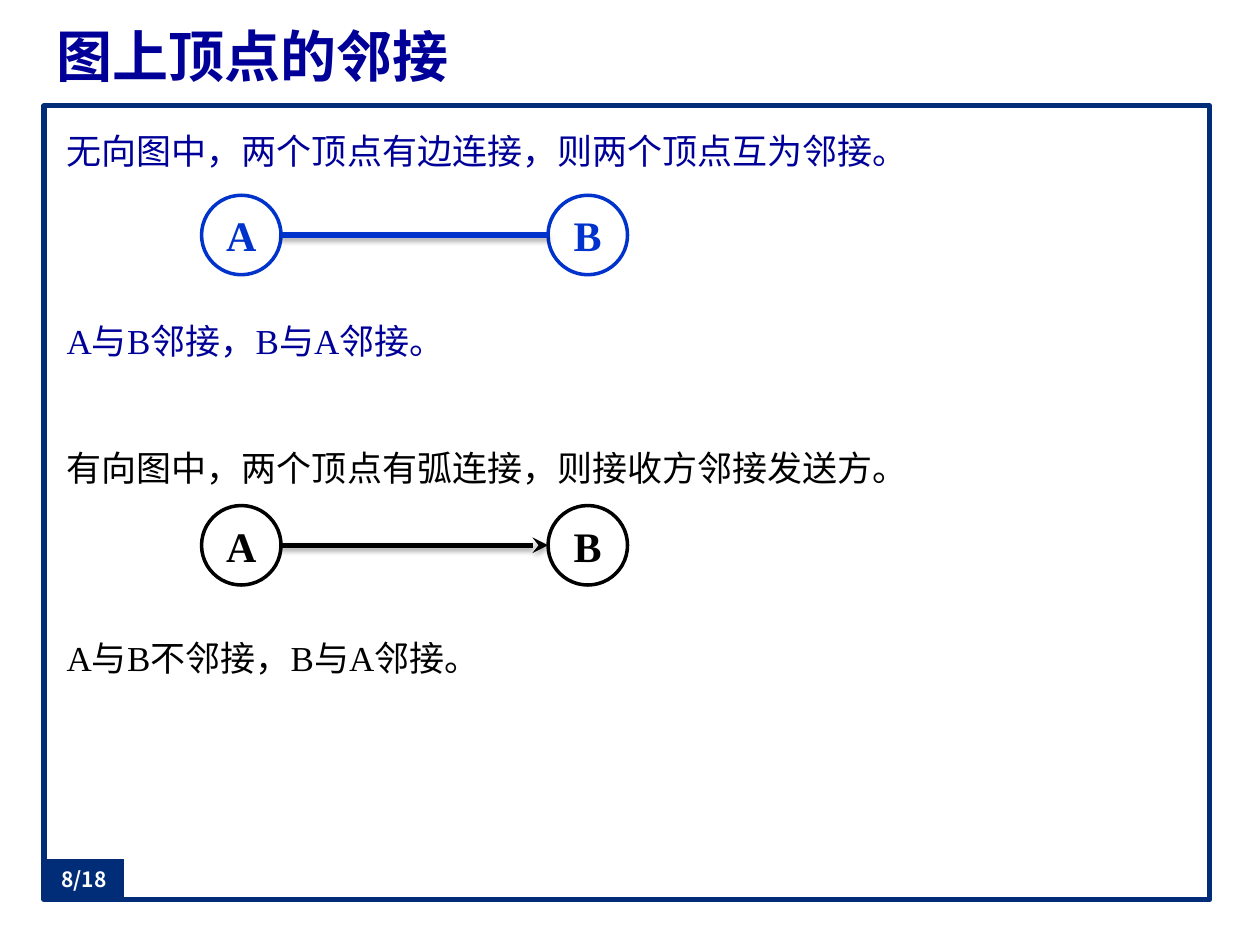
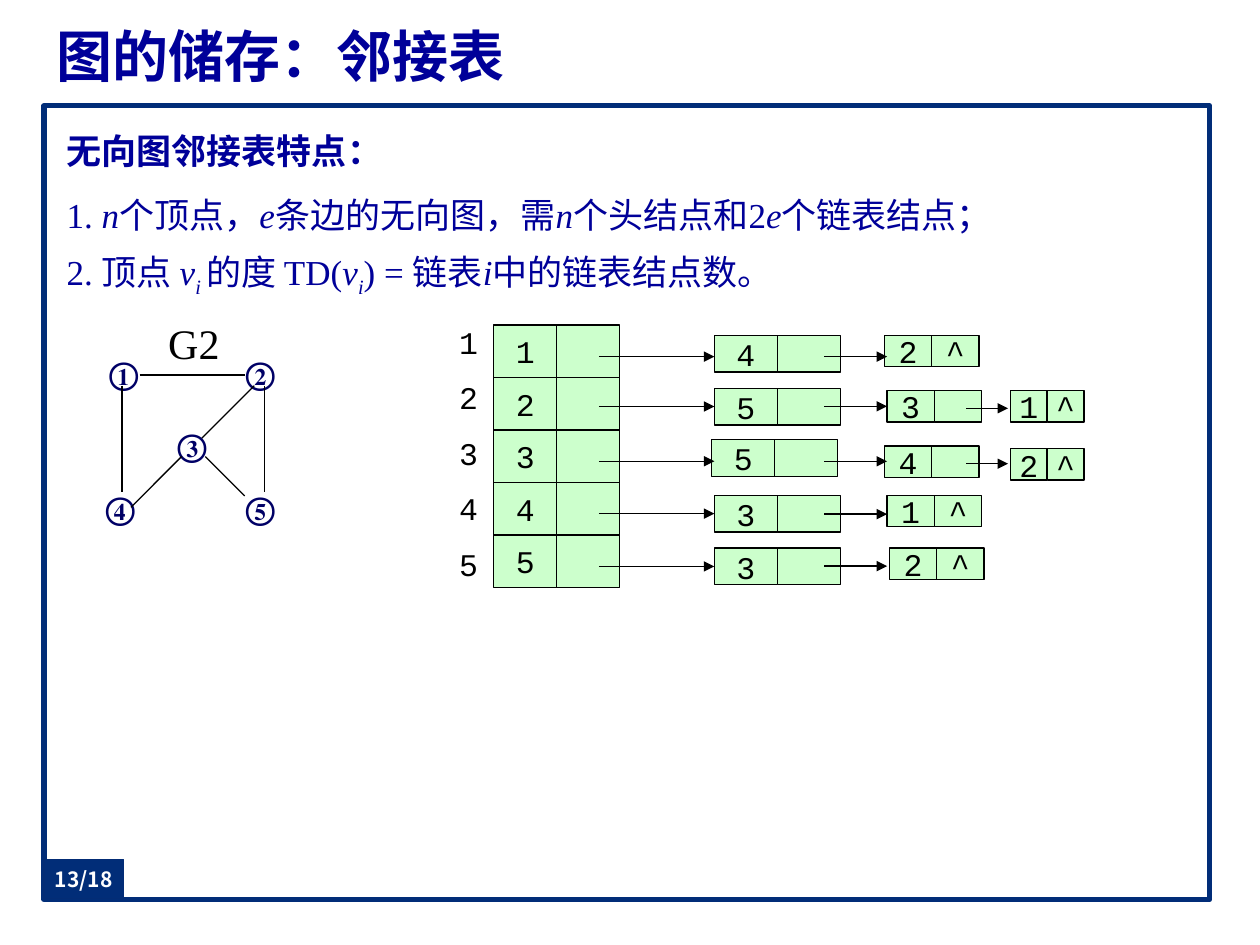
import pptx
import pptx.dml.color
import pptx.enum.shapes
import pptx.enum.text
import pptx.oxml.ns
import pptx.util
from lxml import etree

Pt = pptx.util.Pt
RGB = pptx.dml.color.RGBColor
SHAPE = pptx.enum.shapes.MSO_SHAPE
LINE = pptx.enum.shapes.MSO_CONNECTOR
ALIGN = pptx.enum.text.PP_ALIGN
ANCHOR = pptx.enum.text.MSO_ANCHOR
qn = pptx.oxml.ns.qn

NAVY = RGB(0x01, 0x2D, 0x78)
EDGE = RGB(0x03, 0x2C, 0x75)
INK = RGB(0x00, 0x00, 0x99)
BLUE = RGB(0x00, 0x33, 0xCC)
DEEP = RGB(0x00, 0x00, 0x66)
GREEN = RGB(0xCC, 0xFF, 0xCC)
BLACK = RGB(0, 0, 0)
WHITE = RGB(255, 255, 255)

SERIF, MONO, SANS = "Times New Roman", "Courier New", "Noto Sans CJK SC"
FRAME = (25.2, 60.5, 666, 453.6)
TITLE = (25.2, 9.4, 666, 44.6)
BODY = (31, 66.2, 652.3, 442)
FOOT = (25.2, 491, 45.4, 22.3)
TOTAL = 18
ROW = 24.2  # line height of the body text


def write(shape, text, *, size=18, color=BLACK, font=SERIF, asian=SANS,
          bold=False, align=ALIGN.CENTER, anchor=ANCHOR.MIDDLE,
          inset=(0, 0), wrap=True, before=0, after=0, row=None):
    """Fill a shape; text is a string or a list of paragraphs.

    A paragraph is a string or a list of (words, marks) runs, where the mark
    "i" is italic, "s" is subscript and "b" is bold. A number or a list of
    numbers as before gives the space above the paragraphs after the first.
    """
    frame = shape.text_frame
    frame.word_wrap = wrap
    frame.vertical_anchor = anchor
    frame.margin_left = frame.margin_right = Pt(inset[0])
    frame.margin_top = frame.margin_bottom = Pt(inset[1])
    paras = [text] if isinstance(text, str) else text
    for num, runs in enumerate(paras):
        para = frame.add_paragraph() if num else frame.paragraphs[0]
        para.alignment = align
        gap = before[num - 1] if isinstance(before, list) else before
        para.space_before = Pt(gap if num else 0)
        para.space_after = Pt(after)
        if row:
            para.line_spacing = Pt(row)
        for words, marks in [(runs, "")] if isinstance(runs, str) else runs:
            run = para.add_run()
            run.text = words
            run.font.size = Pt(size)
            run.font.bold = bold or "b" in marks
            run.font.italic = "i" in marks
            run.font.color.rgb = color
            run.font.name = font
            props = run._r.get_or_add_rPr()
            etree.SubElement(props, qn("a:ea")).set("typeface", asian)
            if "s" in marks:
                props.set("baseline", "-25000")


def label(slide, box, text, **form):
    shape = slide.shapes.add_textbox(*map(Pt, box))
    write(shape, text, **form)
    return shape


def block(slide, box, kind=SHAPE.RECTANGLE, fill=WHITE, edge=None, width=0.75):
    shape = slide.shapes.add_shape(kind, *map(Pt, box))
    shape.shadow.inherit = False
    shape.fill.solid()
    shape.fill.fore_color.rgb = fill
    if edge is None:
        shape.line.fill.background()
    else:
        shape.line.color.rgb = edge
        shape.line.width = Pt(width)
    return shape


def link(slide, start, end, color=BLACK, width=0.75, tip=None, shade=False):
    line = slide.shapes.add_connector(LINE.STRAIGHT, *map(Pt, start + end))
    line.line.color.rgb = color
    line.line.width = Pt(width)
    props = line._element.spPr
    if tip:
        etree.SubElement(props.find(qn("a:ln")), qn("a:tailEnd")).set("type", tip)
    effects = etree.SubElement(props, qn("a:effectLst"))
    if shade:
        glow = etree.SubElement(effects, qn("a:outerShdw"), blurRad=str(Pt(3.1)),
                                dist=str(Pt(1.8)), dir="5400000", rotWithShape="0")
        tint = etree.SubElement(glow, qn("a:srgbClr"), val=str(BLACK))
        etree.SubElement(tint, qn("a:alpha"), val="35000")
    return line


def page(deck, title, lines, num, before=6):
    """Frame, title, body text and page number."""
    slide = deck.slides.add_slide(deck.slide_layouts[6])
    block(slide, FRAME, edge=NAVY, width=3)
    label(slide, TITLE, title, size=32, color=INK, bold=True,
          align=ALIGN.JUSTIFY, inset=(7.2, 3.6))
    body = label(slide, BODY, lines[0], size=20, color=lines[1], align=ALIGN.LEFT,
                 anchor=ANCHOR.TOP, inset=(7.2, 7.8), before=before, after=6, row=ROW)
    foot = block(slide, FOOT, fill=NAVY, edge=EDGE)
    write(foot, f"{num}/{TOTAL}", size=12, color=WHITE, font=SANS, bold=True)
    return slide, body


def pair(slide, left, top, color, tip=None):
    """Two vertices A and B with an edge or arc between them."""
    side, step = 45.4, 198
    for num, name in enumerate("AB"):
        disc = block(slide, (left + num * step, top, side, side), SHAPE.OVAL,
                     edge=color, width=2)
        write(disc, name, size=24, color=color, bold=True, inset=(7.2, 0))
    mid = top + side / 2
    link(slide, (left + side, mid), (left + step, mid), color, 3, tip, True)


def graph(slide, left, top):
    """Graph G2, with five vertices."""
    label(slide, (left + 33, top, 36, 28.8), "G2", size=24, anchor=ANCHOR.TOP)
    spots = [(2, 21), (80, 21), (41, 62), (0, 98), (80, 98)]
    for name, (x, y) in zip("①②③④⑤", spots):
        label(slide, (left + x, top + y, 18, 21.6), name, color=DEEP, bold=True,
              asian=SERIF, anchor=ANCHOR.TOP, wrap=False)
    link(slide, (left + 20, top + 33), (left + 80, top + 33), width=1)
    edges = [(10, 39, 10, 99.5), (91.5, 39, 91.5, 99.5), (15, 108.5, 44, 79.5),
             (55.5, 69, 85.5, 39), (57.5, 79.5, 80, 102)]
    for x, y, far, low in edges:
        link(slide, (left + x, top + y), (left + far, top + low))


def cell(slide, box, text=""):
    shape = block(slide, box, fill=GREEN, edge=BLACK)
    if text:
        write(shape, text, font=MONO, inset=(7.2, 3.6), wrap=False)
    return shape


def node(slide, x, y, wide, high, value, last=False):
    """A value cell and a pointer cell; the last pointer is ^."""
    first = cell(slide, (x, y, wide, high), value)
    cell(slide, (x + wide, y, wide, high), "^" if last else "")
    return first


def arrow(slide, start, end, target):
    """Arrow to a cell, joined where it meets the middle of its left side."""
    mid = target.top + target.height // 2
    joins = abs(Pt(end[1]) - mid) < Pt(1) and abs(Pt(end[0]) - target.left) < Pt(1)
    if joins:
        start = (start[0], mid / Pt(1))
    line = link(slide, start, end, tip="triangle")
    if joins:
        line.end_connect(target, 1)


def chains(slide, left, top):
    """Adjacency list: numbered heads and the nodes linked to each."""
    heads = "12345"
    # Width, height of the cells in each column of nodes, then the arrow's ends
    sizes = [(36, 21, 60, 126), (27, 18, 188.7, 224.7), (21, 18, 270, 293.8)]
    # For each row, the x, y, value of its nodes and the y of its arrows
    rows = [
        [(126, 5.8, "4", 18), (223.2, 5.8, "2", 18)],
        [(126, 36, "5", 46.2), (224.7, 37.4, "3", 46.2), (295.2, 37.4, "1", 47.5)],
        [(124.6, 65.5, "5", 77.8), (223.2, 69.1, "4", 77.8), (295.2, 70.6, "2", 79.2)],
        [(126, 97.2, "3", 108), (224.7, 97.2, "1", 108)],
        [(126, 127.4, "3", 137.7), (226.1, 127.4, "2", 137.7)],
    ]
    names = block(slide, (left - 29.5, top - 5, 30.2, 159.8))
    write(names, list(heads), font=MONO, anchor=ANCHOR.TOP, inset=(7.2, 3.6),
          before=10.2)
    for num, head in enumerate(heads):
        node(slide, left, top + num * 30, 36, 30, head)
    for row in rows:
        made = []
        for col, (x, y, value, _) in enumerate(row):
            wide, high = sizes[col][:2]
            last = col == len(row) - 1
            made.append(node(slide, left + x, top + y, wide, high, value, last))
        for (_, _, _, level), size, target in zip(row, sizes, made):
            arrow(slide, (left + size[2], top + level),
                  (left + size[3], top + level), target)


def near(deck):
    """Adjacent vertices."""
    lines = ["无向图中，两个顶点有边连接，则两个顶点互为邻接。",
             "A与B邻接，B与A邻接。",
             "有向图中，两个顶点有弧连接，则接收方邻接发送方。",
             "A与B不邻接，B与A邻接。"]
    step = ROW + 12
    slide, body = page(deck, "图上顶点的邻接", (lines, INK), 8,
                       [6 + 2 * step, 6 + step, 6 + 2 * step])
    for para in body.text_frame.paragraphs[2:]:
        para.runs[0].font.color.rgb = BLACK
    pair(slide, 115.2, 111.6, BLUE)
    pair(slide, 115.2, 288.9, BLACK, "stealth")


def store(deck):
    """Adjacency list of an undirected graph."""
    lines = [
        [("无向图邻接表特点：", "b")],
        [("1. ", ""), ("n", "i"), ("个顶点，", ""), ("e", "i"),
         ("条边的无向图，需", ""), ("n", "i"), ("个头结点和2", ""),
         ("e", "i"), ("个链表结点；", "")],
        [("2. 顶点 ", ""), ("v", "i"), ("i ", "is"), ("的度 TD(", ""),
         ("v", "i"), ("i", "is"), (") = 链表", ""), ("i", "i"),
         ("中的链表结点数。", "")],
    ]
    slide, _ = page(deck, "图的储存：邻接表", (lines, INK), 13)
    graph(slide, 59.8, 181.4)
    chains(slide, 282.2, 185.8)


def main():
    deck = pptx.Presentation()
    deck.slide_width, deck.slide_height = Pt(720), Pt(540)
    near(deck)
    store(deck)
    deck.save("out.pptx")


if __name__ == "__main__":
    main()
